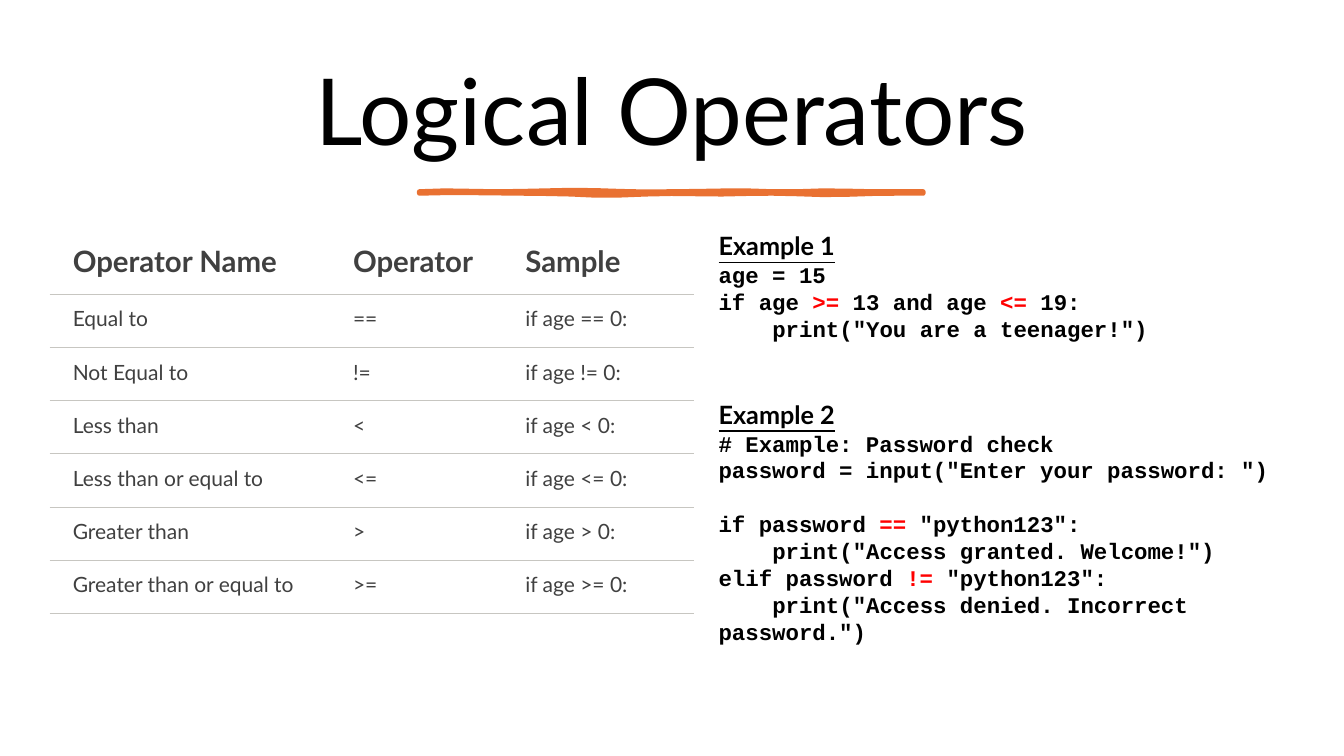
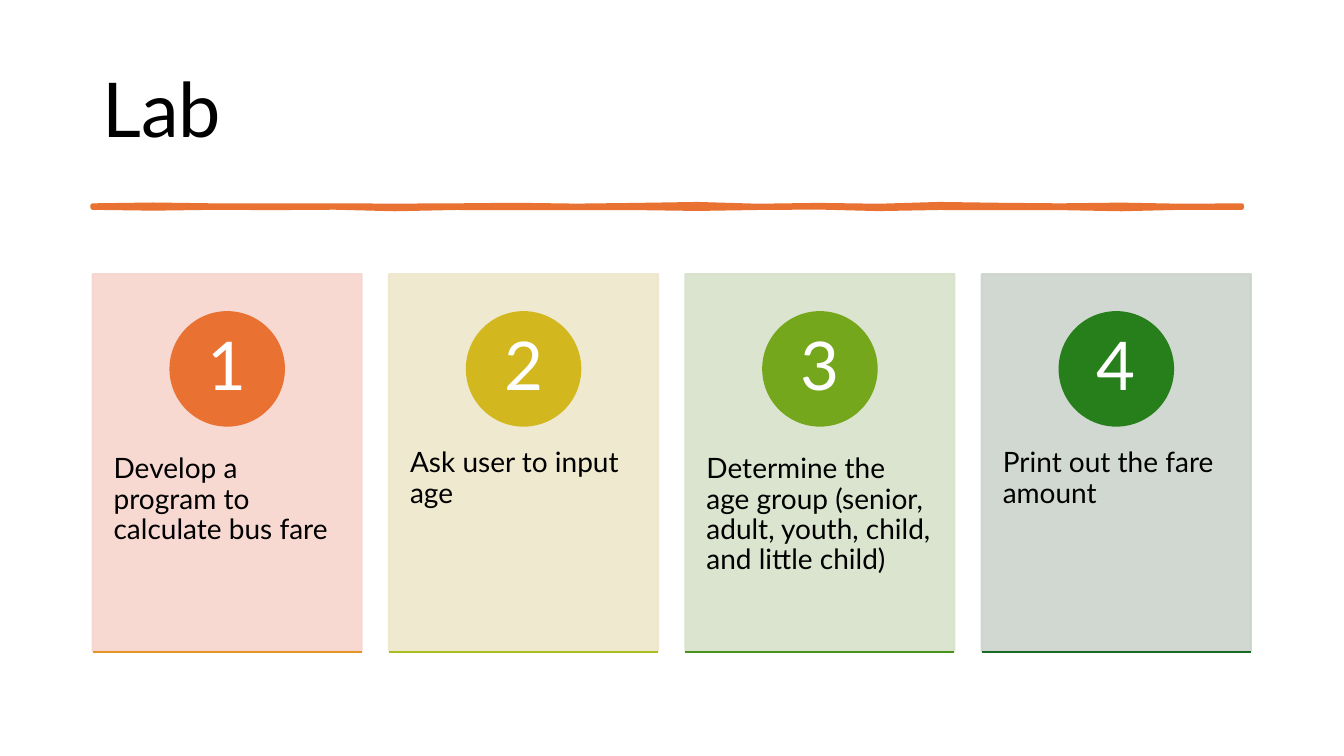
"""Build two lesson slides: logical operators and a lab outline."""
from dataclasses import dataclass
from typing import Any

from lxml.etree import SubElement
from pptx import Presentation
from pptx.dml.color import RGBColor
from pptx.enum.shapes import MSO_CONNECTOR, MSO_SHAPE
from pptx.enum.text import MSO_ANCHOR, PP_ALIGN
from pptx.oxml.ns import qn
from pptx.slide import Slide
from pptx.text.text import TextFrame
from pptx.util import Pt

HUES = {
    "black": "000000", "white": "FFFFFF", "gray": "404040", "rule": "C7C6C1",
    "red": "FF0000", "orange": "E97132", "gold": "D2B81E", "lime": "75A71D",
    "green": "277F1B", "blush": "F7D5CE", "cream": "EEE7CB", "mint": "D8E2CA",
    "mist": "CCD4CD", "amber": "E49622", "moss": "ABBC1E", "leaf": "49931D",
    "pine": "196B24",
}
FONTS = {
    "hero": {"name": "Lato", "size": Pt(66)},
    "title": {"name": "Lato", "size": Pt(54)},
    "head": {"name": "Lato", "size": Pt(21), "bold": True},
    "cell": {"name": "Lato", "size": Pt(15), "bold": False},
    "label": {"name": "Lato", "size": Pt(18), "bold": True, "underline": True},
    "code": {"name": "Courier New", "size": Pt(16), "bold": True},
    "body": {"name": "Lato", "size": Pt(20)},
    "digit": {"name": "Lato", "size": Pt(48)},
}
TIGHT = {"line_spacing": 0.9}
MID = {"line_spacing": 0.9, "alignment": PP_ALIGN.CENTER}
CODE = {"line_spacing": Pt(19.2)}
CELL = {"margin_left": Pt(16.5), "margin_right": Pt(12.4),
        "margin_top": Pt(8.6), "margin_bottom": Pt(8.6)}
PAD = {"margin_left": Pt(15), "margin_right": Pt(15),
       "margin_top": Pt(26), "margin_bottom": Pt(26)}
DISC = {"margin_left": Pt(0), "margin_right": Pt(0), "margin_top": Pt(0),
        "margin_bottom": Pt(0), "vertical_anchor": MSO_ANCHOR.MIDDLE}


@dataclass
class Box:
    """A place on the slide, in points."""
    left: float
    top: float
    width: float
    height: float

    def size(self) -> tuple[int, ...]:
        """Give the four lengths ready for python-pptx."""
        return tuple(Pt(n) for n in (self.left, self.top, self.width, self.height))


@dataclass
class Brush:
    """A hand-drawn rule with wavering upper and lower edges."""
    left: float
    top: float
    width: float
    upper: tuple[float, ...]
    lower: tuple[float, ...]


@dataclass
class Line:
    """A line of code; every second word group is marked red."""
    words: tuple[str, ...]
    indent: float = 0
    gap: float = 0


@dataclass
class Card:
    """One numbered step of the lab."""
    text: str
    pale: str
    disc: str
    base: str


TAB = 38.4
FIRST = (
    Line(("age = 15",)),
    Line(("if age ", ">=", " 13 and age ", "<=", " 19:")),
    Line(('print("You are a teenager!")',), TAB),
)
SECOND = (
    Line(("# Example: Password check",)),
    Line(('password = input("Enter your password: ")',)),
    Line(("if password ", "==", ' "python123":'), gap=19.2),
    Line(('print("Access granted. Welcome!")',), TAB),
    Line(("elif password ", "!=", ' "python123":')),
    Line(('print("Access denied. Incorrect password.")',), TAB),
)
SIGNS = {"Equal to": "==", "Not Equal to": "!=", "Less than": "<",
         "Less than or equal to": "<=", "Greater than": ">",
         "Greater than or equal to": ">="}
CARDS = (
    Card("Develop a program to calculate bus fare", "blush", "orange", "amber"),
    Card("Ask user to input age", "cream", "gold", "moss"),
    Card("Determine the age group (senior, adult, youth, child, and little child)",
         "mint", "lime", "leaf"),
    Card("Print out the fare amount", "mist", "green", "pine"),
)
SHORT = Brush(
    299.5, 136.8, 360,
    (0, -.6, -.3, 0, -.2, -.6, -1, -.8, -.2, .2, 0, -.2, -.5, -.6, 0, 0, -.6, -.4, 0, 0, 0),
    (1.4, 1, 1, 1.2, 1.4, 1.6, 2, 2.8, 2.7, 2, 1.6, 1.8, 2, 1.6, 1.4, 1.8, 2.4, 2.2, 1.6, 1.4, 1.4))
LONG = Brush(
    66.2, 146.9, 820.8,
    (0, -.6, 0, 0, 0, .2, 0, -.4, .2, -.3, -1, .3, -.3, .3, -1, -.4, 0, -.5, .3, 0),
    (1.4, 2, 1.4, 1.6, 1.3, 2.4, 1.5, 1.6, 1.6, 1.6, 2.2, 1.5, 1.2, 2.3, 1.5, 1.6, 1.6, 2.4, 1.4, 1.4))


def tint(name: str) -> RGBColor:
    """Look up a colour."""
    return RGBColor.from_string(HUES[name])


def apply(item: Any, form: dict[str, Any]) -> None:
    """Set attributes from a dict of format values."""
    for key, value in form.items():
        setattr(item, key, value)


def add_run(para: Any, text: str, font: str, hue: str = "black") -> None:
    """Add a formatted run to a paragraph."""
    run = para.add_run()
    run.text = text
    apply(run.font, FONTS[font])
    run.font.color.rgb = tint(hue)


def add_text(slide: Slide, box: Box, form: dict[str, Any]) -> TextFrame:
    """Add a wrapping text box and give its frame."""
    frame = slide.shapes.add_textbox(*box.size()).text_frame
    frame.word_wrap = True
    apply(frame, form)
    return frame


def add_title(slide: Slide, box: Box, text: str, font: str,
              form: dict[str, Any], brush: Brush) -> None:
    """Add a slide title with its brushed rule."""
    para = add_text(slide, box, {"vertical_anchor": MSO_ANCHOR.MIDDLE}).paragraphs[0]
    apply(para, form)
    add_run(para, text, font)
    step = brush.width / (len(brush.upper) - 1)
    edges = [[(Pt(brush.left + i * step), Pt(brush.top + y)) for i, y in enumerate(edge)]
             for edge in (brush.upper, brush.lower)]
    points = edges[0] + edges[1][::-1]
    pen = slide.shapes.build_freeform(*points[0], scale=1.0)
    pen.add_line_segments(points[1:], close=True)
    paint(pen.convert_to_shape(), "orange", 3.25)


def paint(shape: Any, hue: str, width: float, alpha: int = 100) -> None:
    """Fill and outline a shape in one colour."""
    shape.shadow.inherit = False
    shape.fill.solid()
    shape.line.fill.solid()
    shape.line.width = Pt(width)
    for fill in (shape.fill, shape.line.fill):
        fill.fore_color.rgb = tint(hue)
    if alpha < 100:
        for node in shape.element.spPr.iter(qn("a:srgbClr")):
            SubElement(node, qn("a:alpha"), val=str(alpha * 1000))


def add_edge(cell: Any, side: str, shown: bool) -> None:
    """Draw or hide one border of a cell."""
    edge = SubElement(cell._tc.get_or_add_tcPr(), qn(f"a:{side}"), w=str(Pt(0.75)))
    if shown:
        fill = SubElement(edge, qn("a:solidFill"))
        SubElement(fill, qn("a:srgbClr"), val=HUES["rule"])
    else:
        SubElement(edge, qn("a:noFill"))


def add_grid(slide: Slide, box: Box) -> None:
    """Add the table of operators."""
    rows = [("Operator Name", "Operator", "Sample")]
    rows += [(name, sign, f"if age {sign} 0:") for name, sign in SIGNS.items()]
    table = slide.shapes.add_table(len(rows), 3, *box.size()).table
    apply(table, {"first_row": False, "horz_banding": False})
    for col, width in zip(table.columns, (200.2, 123.1, 136.8)):
        col.width = Pt(width)
    for r, row in enumerate(rows):
        table.rows[r].height = Pt(38 if r else 44.6)
        for c, text in enumerate(row):
            cell = table.cell(r, c)
            apply(cell, CELL)
            for side, shown in (("lnL", False), ("lnR", False), ("lnT", r > 0), ("lnB", True)):
                add_edge(cell, side, shown)
            cell.fill.background()
            add_run(cell.text_frame.paragraphs[0], text, "cell" if r else "head", "gray")


def add_code(slide: Slide, box: Box, label: str, lines: tuple[Line, ...]) -> None:
    """Add a labelled code sample."""
    frame = add_text(slide, box, {})
    add_run(frame.paragraphs[0], label, "label")
    for line in lines:
        para = frame.add_paragraph()
        apply(para, CODE | {"space_before": Pt(line.gap)})
        para._p.get_or_add_pPr().set("indent", str(Pt(line.indent)))
        for i, word in enumerate(line.words):
            add_run(para, word, "code", "red" if i % 2 else "black")


def add_card(slide: Slide, left: float, rank: int, card: Card) -> None:
    """Add a panel with a numbered disc, a text and a base line."""
    top, width, height, disc = 195.8, 192.2, 269.4, 81
    panel = slide.shapes.add_shape(MSO_SHAPE.RECTANGLE, *Box(left, top, width, height).size())
    paint(panel, card.pale, 1.5, 90)
    para = add_text(slide, Box(left, 298.8, width, 162), PAD).paragraphs[0]
    apply(para, TIGHT)
    add_run(para, card.text, "body")
    spot = Box(left + (width - disc) / 2, 223, disc, disc)
    badge = slide.shapes.add_shape(MSO_SHAPE.OVAL, *spot.size())
    paint(badge, card.disc, 1.5)
    apply(badge.text_frame, DISC)
    para = badge.text_frame.paragraphs[0]
    apply(para, MID)
    add_run(para, str(rank), "digit", "white")
    low = Pt(465.7)
    base = slide.shapes.add_connector(MSO_CONNECTOR.STRAIGHT, Pt(left), low, Pt(left + width), low)
    base.line.color.rgb = tint(card.base)
    base.line.width = Pt(1.5)
    SubElement(base.element.spPr, qn("a:effectLst"))


def main() -> None:
    """Build and save the slides."""
    deck = Presentation()
    apply(deck, {"slide_width": Pt(960), "slide_height": Pt(540)})
    blank = deck.slide_layouts[6]

    slide = deck.slides.add_slide(blank)
    add_title(slide, Box(50.4, 33.1, 859, 98.6), "Logical Operators", "hero", MID, SHORT)
    add_grid(slide, Box(35.5, 165.6, 460.1, 272.6))
    add_code(slide, Box(506.2, 161.3, 411.8, 108.7), "Example 1", FIRST)
    add_code(slide, Box(506.2, 281.8, 442.8, 206), "Example 2", SECOND)

    slide = deck.slides.add_slide(blank)
    add_title(slide, Box(66.2, 28.8, 828, 104.4), "Lab", "title", TIGHT, LONG)
    for i, card in enumerate(CARDS):
        add_card(slide, 66.2 + i * 211.7, i + 1, card)

    deck.save("out.pptx")


if __name__ == "__main__":
    main()
